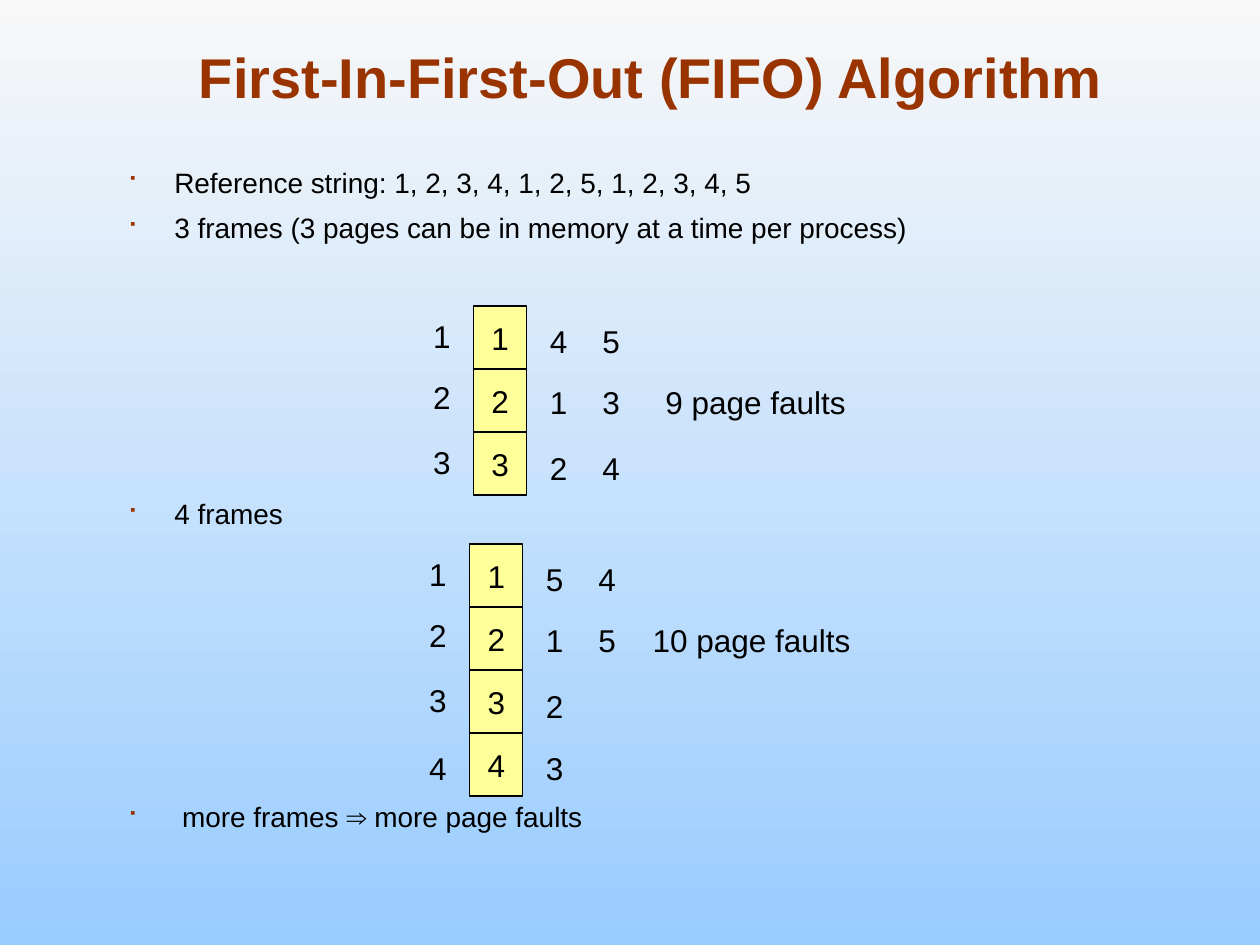
from lxml.etree import SubElement
from pptx import Presentation
from pptx.dml.color import RGBColor
from pptx.enum.shapes import MSO_SHAPE
from pptx.enum.text import MSO_ANCHOR, MSO_AUTO_SIZE, PP_ALIGN
from pptx.oxml.ns import qn
from pptx.util import Cm, Pt


def tint(color, code):
    color.rgb = RGBColor.from_string(code)


def write(shape, text, size, code="000000", bold=False, **looks):
    frame = shape.text_frame
    frame.text = text
    for name, value in looks.items():
        setattr(frame, name, value)
    for para in frame.paragraphs:
        font = para.runs[0].font
        for name, value in {"name": "Arial", "size": Pt(size), "bold": bold}.items():
            setattr(font, name, value)
        tint(font.color, code)
    return frame.paragraphs


deck = Presentation()
deck.slide_width, deck.slide_height = Cm(25.4), Cm(19.05)
slide = deck.slides.add_slide(deck.slide_layouts[1])

back = slide.background.fill
back.gradient()
back.gradient_angle = 270
for stop, code, place in zip(back.gradient_stops, ["F8F8F8", "99CCFF"], [0, 1]):
    tint(stop.color, code)
    stop.position = place

title, body = slide.placeholders
spots = [(title, (1.91, 0.64, 22.43, 1.7)), (body, (2.31, 3.2, 19.53, 16))]
for shape, spot in spots:
    for name, value in zip(["left", "top", "width", "height"], spot):
        setattr(shape, name, Cm(value))

head = write(title, "First-In-First-Out (FIFO) Algorithm", 32, "993300", True,
             vertical_anchor=MSO_ANCHOR.BOTTOM, auto_size=MSO_AUTO_SIZE.NONE)
head[0].alignment = PP_ALIGN.CENTER

points = {
    "Reference string: 1, 2, 3, 4, 1, 2, 5, 1, 2, 3, 4, 5": 7,
    "3 frames (3 pages can be in memory at a time per process)": 7,
    "4 frames": 144,
    " more frames ⇒ more page faults": 154,
}
items = write(body, "\n".join(points), 16, vertical_anchor=MSO_ANCHOR.TOP,
              auto_size=MSO_AUTO_SIZE.NONE)
for para, gap in zip(items, points.values()):
    para.space_before = Pt(gap)
    props = para._p.get_or_add_pPr()
    props.set("marL", str(Cm(0.95)))
    props.set("indent", str(Cm(-0.95)))
    shade = SubElement(props, qn("a:buClr"))
    SubElement(shade, qn("a:srgbClr"), val="993300")
    SubElement(props, qn("a:buSzPct"), val="90000")
    SubElement(props, qn("a:buFont"), typeface="Wingdings")
    SubElement(props, qn("a:buChar"), char="■")

inner = {"word_wrap": False, "vertical_anchor": MSO_ANCHOR.MIDDLE}
stacks = [
    (9.55, 6.17, ["123", "412", "534"], "9 page faults", 3.61, 4.14),
    (9.47, 10.97, ["1234", "5123", "45"], "10 page faults", 3.43, 4.5),
]
rows = [0.1, 1.32, 2.64, 4.01]
drops = [0.2, 1.43, 2.75, 4.01]

for left, top, cols, note, shift, width in stacks:
    for row, digit in enumerate(cols[0]):
        cell = slide.shapes.add_shape(MSO_SHAPE.RECTANGLE, Cm(left),
                                      Cm(top + 1.27 * row), Cm(1.07), Cm(1.27))
        cell.shadow.inherit = False
        cell.fill.solid()
        tint(cell.fill.fore_color, "FFFF99")
        tint(cell.line.color, "000000")
        cell.line.width = Pt(0.75)
        write(cell, digit, 18, **inner)[0].alignment = PP_ALIGN.CENTER

    labels = [(note, shift, drops[1], width)]
    for col, step, tops in zip(cols, [-1.07, 1.28, 2.34], [rows, drops, drops]):
        labels += [(digit, step, drop, 0.86) for digit, drop in zip(col, tops)]
    for text, step, drop, wide in labels:
        box = slide.shapes.add_textbox(Cm(left + step), Cm(top + drop), Cm(wide), Cm(1.02))
        para = write(box, text, 18, auto_size=MSO_AUTO_SIZE.SHAPE_TO_FIT_TEXT, **inner)[0]
        para.alignment = PP_ALIGN.CENTER
        para.space_before = Pt(11.2)

deck.save("out.pptx")
